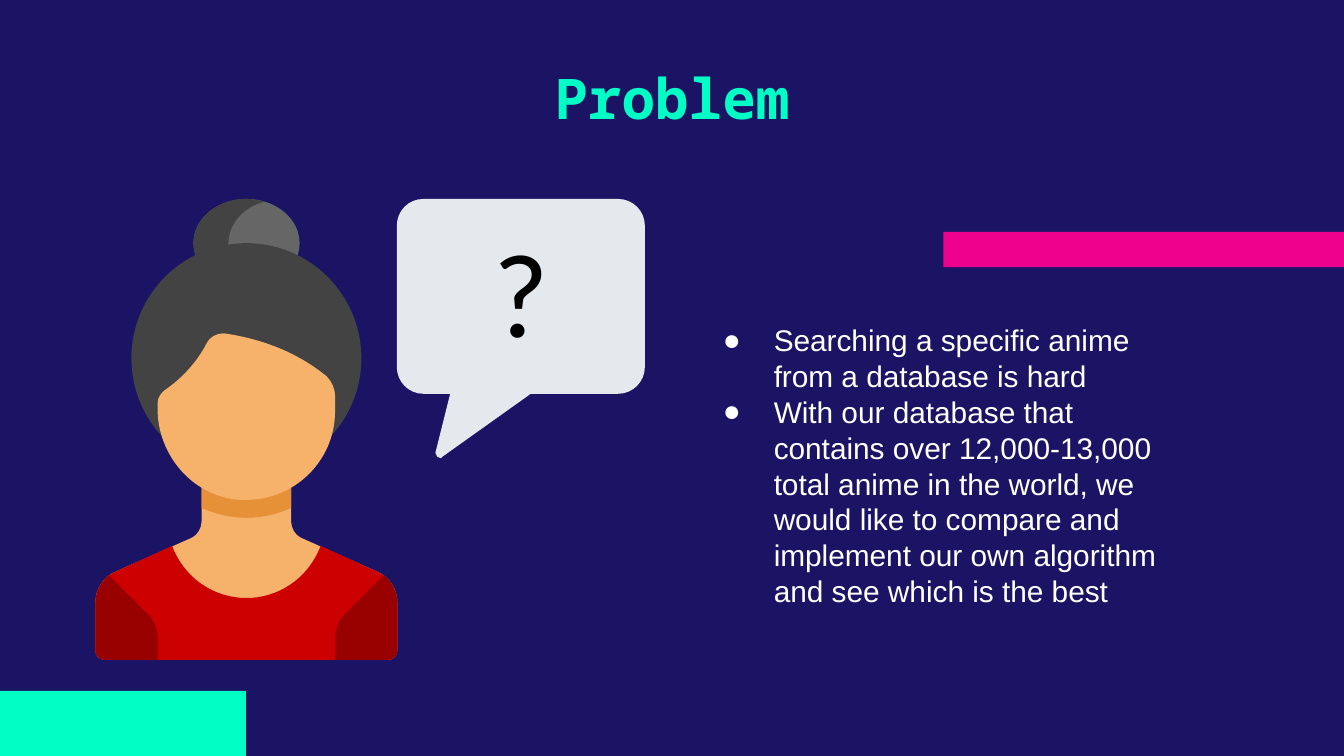
from pptx import Presentation
from pptx import util as u
from pptx.dml import color
from pptx.enum import shapes, text
from pptx.oxml import ns, xmlchemy

TITLE = "Problem"
POINTS = [
    "Searching a specific anime from a database is hard",
    "With our database that contains over 12,000-13,000 total anime in the world, "
    "we would like to compare and implement our own algorithm and see which is the best",
]
QUESTION = "?"

NAVY, PINK, MINT, WHITE, BLACK = "1B1464", "EC008C", "00FFC5", "FFFFFF", "000000"
HAIR, HAIR_LIGHT, SKIN, SKIN_SHADE = "434343", "666666", "F6B26B", "E69138"
RED, DARK_RED, BUBBLE_GREY = "CC0000", "990000", "E3E9ED"

BARS = [(505.4, 124.2, 214.6, 18.9, PINK), (0, 370.2, 131.8, 34.8, MINT)]
CENTRE_X = 132

SHOULDER = [(62.6, 306), (55.4, 308.9, 51.1, 315.4, 51.1, 323.3),
            (51.1, 348.5), (51.1, 351.4, 53.3, 353.5, 56.2, 353.5)]
BUN_SHADE = [(132, 106.6), (116, 106.6, 103.7, 117.4, 103.7, 130.3),
             (103.7, 143.3, 116, 154.1, 132, 154.1),
             (135.4, 154.1, 138.2, 153.4, 141.8, 152.6),
             (130.3, 149.8, 122.4, 140.4, 122.4, 130.3),
             (122.4, 120.2, 130.3, 110.9, 141.8, 108),
             (138.2, 107.3, 135.4, 106.6, 132, 106.6)]
BUST_HALF = [(108, 258.5), (108, 279.4), (108, 283, 105.8, 286.6, 103, 288)] + SHOULDER
SHIRT_HALF = [(132, 320.4), (115.8, 320.4, 99.4, 311, 92.2, 292.5)] + SHOULDER
NECK_SHADE_HALF = [(108, 258.5), (108, 272.2), (115.6, 275.5, 123.8, 277.4, 132, 277.4)]
FACE = [(119.5, 178.6), (115.9, 178.6, 112.3, 180.7, 110.9, 183.6),
        (105.8, 193.7, 97.9, 202.3, 88.6, 208.8), (86.4, 210.2, 84.4, 213.1, 84.4, 216),
        (84.4, 218.9), (84.4, 244.1, 103.7, 266.4, 128.9, 267.8), (132, 267.8),
        (157.7, 267.8, 179.5, 247, 179.5, 220.3), (179.5, 212.4),
        (179.5, 208.1, 177.8, 204.5, 175, 201.6), (167, 195.1, 149.8, 182.9, 120.2, 178.6)]
SLEEVE = [(58.3, 308.2), (54, 311.8, 51.1, 317.5, 51.1, 323.3)] + SHOULDER[2:] + [
    (84.4, 353.5), (84.4, 340.6), (84.4, 337, 82.8, 333.4, 80.6, 330.5)]
BUBBLE = [(226.8, 106.6), (218.9, 106.6, 212.6, 113, 212.6, 121), (212.6, 196.6),
          (212.6, 204.5, 218.9, 211, 226.8, 211), (241.2, 211), (233.3, 242.6),
          (233.3, 244.1, 234.7, 245.5, 236.2, 245.5), (236.9, 244.8), (284.4, 211),
          (331.2, 211), (339.1, 211, 345.5, 204.5, 345.5, 196.6), (345.5, 121),
          (345.5, 113, 339.1, 106.6, 331.2, 106.6)]


def rgb(value):
    return color.RGBColor.from_string(value)


def apply(target, values):
    for name, value in values.items():
        setattr(target, name, value)


def paint(shape, fill):
    shape.shadow.inherit = False
    shape.fill.solid()
    shape.fill.fore_color.rgb = rgb(fill)
    shape.line.fill.background()


def pairs(segment):
    return list(zip(segment[::2], segment[1::2]))


def mirror(segments):
    mirrored = [segments[-1][-2:]]
    for previous, segment in reversed(list(zip(segments, segments[1:]))):
        points = pairs(segment)[-2::-1] + [previous[-2:]]
        mirrored.append(tuple(value for point in points for value in point))
    return [tuple(value if index % 2 else 2 * CENTRE_X - value
                  for index, value in enumerate(segment)) for segment in mirrored]


def symmetric(half):
    other = mirror(half)
    return half + (other[1:] if other[0] == half[-1] else other)


def add_outline(slide, segments, fill):
    points = [(u.Pt(x), u.Pt(y)) for segment in segments for x, y in pairs(segment)]
    builder = slide.shapes.build_freeform(*points[0], scale=1.0)
    builder.add_line_segments(points[1:], close=True)
    shape = builder.convert_to_shape()
    lines = iter(shape._element.findall(".//" + ns.qn("a:lnTo")))
    for segment in segments[1:]:
        line = next(lines)
        if len(segment) == 6:
            curve = xmlchemy.OxmlElement("a:cubicBezTo")
            line.addprevious(curve)
            for part in (line, next(lines), next(lines)):
                curve.append(part[0])
                part.getparent().remove(part)
    paint(shape, fill)


def add_preset(slide, kind, left, top, width, height, fill):
    shape = slide.shapes.add_shape(kind, *map(u.Pt, (left, top, width, height)))
    paint(shape, fill)


def set_text(shape, box, lines, font, size, fill, bold=False,
             anchor=text.MSO_ANCHOR.MIDDLE, align=text.PP_ALIGN.CENTER, top_inset=7.2):
    apply(shape, dict(zip(("left", "top", "width", "height"), map(u.Pt, box))))
    frame = shape.text_frame
    frame.text = "\n".join(lines)
    inset = u.Pt(7.2)
    apply(frame, {"word_wrap": True, "auto_size": text.MSO_AUTO_SIZE.NONE,
                  "vertical_anchor": anchor, "margin_left": inset, "margin_right": inset,
                  "margin_top": u.Pt(top_inset), "margin_bottom": inset})
    for paragraph in frame.paragraphs:
        apply(paragraph, {"alignment": align, "line_spacing": 1.0,
                          "space_before": u.Pt(0), "space_after": u.Pt(0)})
        run_font = paragraph.runs[0].font
        apply(run_font, {"name": font, "size": u.Pt(size), "bold": bold})
        run_font.color.rgb = rgb(fill)


def add_bullet(paragraph, fill):
    properties = paragraph._p.get_or_add_pPr()
    properties.set("marL", str(u.Pt(36)))
    properties.set("indent", str(u.Pt(-27.2)))
    bullet_color = xmlchemy.OxmlElement("a:buClr")
    value = xmlchemy.OxmlElement("a:srgbClr")
    value.set("val", fill)
    bullet_color.append(value)
    bullet = xmlchemy.OxmlElement("a:buChar")
    bullet.set("char", "●")
    properties.extend([bullet_color, bullet])


def main():
    presentation = Presentation()
    apply(presentation, {"slide_width": u.Pt(720), "slide_height": u.Pt(405)})
    slide = presentation.slides.add_slide(presentation.slide_layouts[1])
    slide.background.fill.solid()
    slide.background.fill.fore_color.rgb = rgb(NAVY)

    for bar in BARS:
        add_preset(slide, shapes.MSO_SHAPE.RECTANGLE, *bar)

    body = slide.placeholders[1]
    set_text(body, (371.3, 98.6, 261.4, 282.2), POINTS, "Arial", 16, WHITE,
             align=text.PP_ALIGN.LEFT, top_inset=26.4)
    for paragraph in body.text_frame.paragraphs:
        add_bullet(paragraph, WHITE)
    set_text(slide.shapes.title, (100.8, 26.9, 518.4, 52.6), [TITLE], "Noto Sans Mono",
             30, MINT, bold=True, anchor=text.MSO_ANCHOR.TOP)

    oval = shapes.MSO_SHAPE.OVAL
    add_preset(slide, oval, 103.6, 106.6, 56.9, 47.5, HAIR_LIGHT)
    add_outline(slide, BUN_SHADE, HAIR)
    add_preset(slide, oval, 70.4, 130.3, 123.2, 123.2, HAIR)
    for segments, fill in [
        (symmetric(BUST_HALF), SKIN),
        (symmetric(SHIRT_HALF), RED),
        (symmetric(NECK_SHADE_HALF), SKIN_SHADE),
        (FACE, SKIN),
        (SLEEVE, DARK_RED),
        (mirror(SLEEVE), DARK_RED),
        (BUBBLE, BUBBLE_GREY),
    ]:
        add_outline(slide, segments, fill)

    question_box = (232.6, 105.1, 92.9, 100.8)
    question = slide.shapes.add_textbox(*map(u.Pt, question_box))
    set_text(question, question_box, [QUESTION], "Calibri", 64, BLACK)
    presentation.save("out.pptx")


if __name__ == "__main__":
    main()
